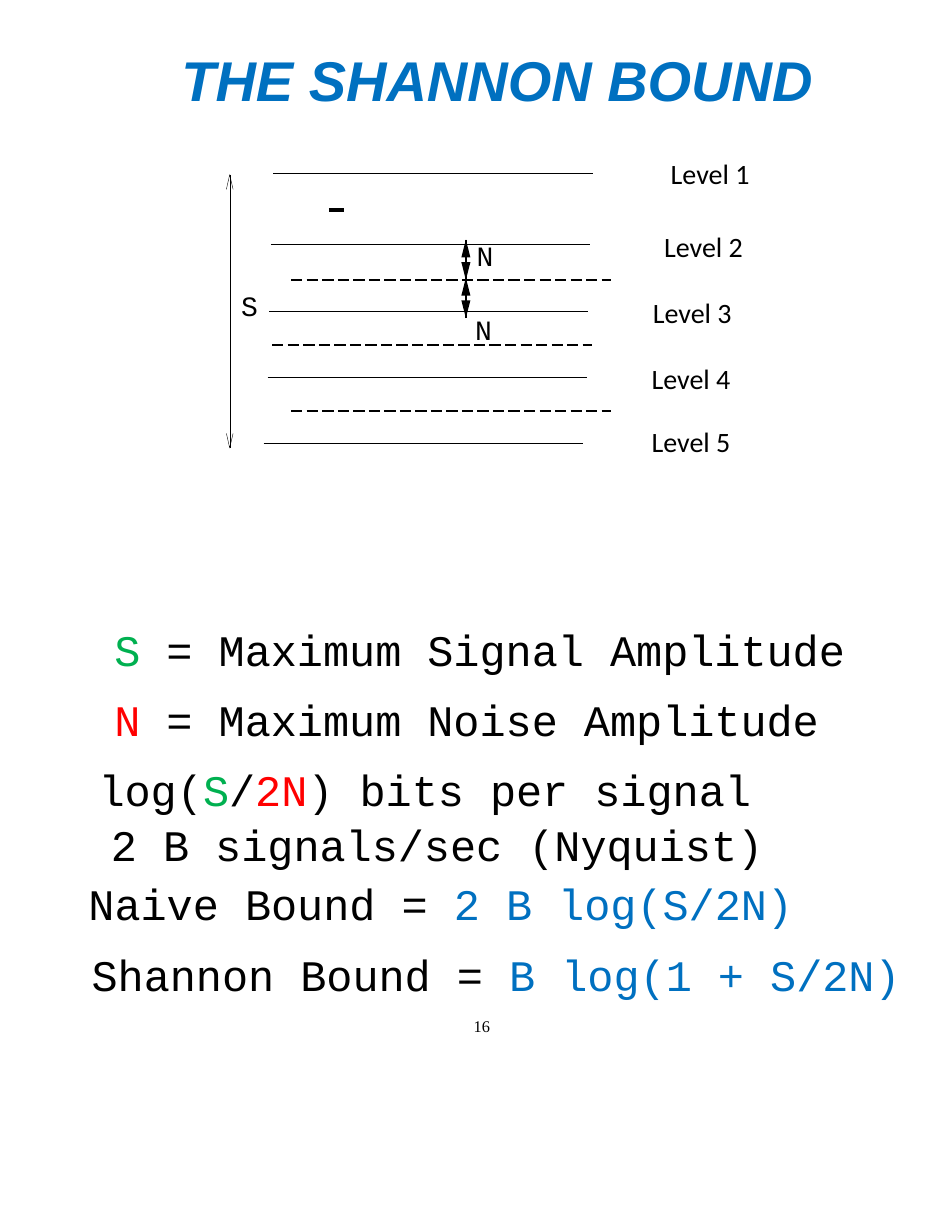
"""Build the Shannon bound slide with its signal level diagram."""
from dataclasses import dataclass

from lxml.etree import SubElement
from pptx import Presentation
from pptx.dml.color import RGBColor
from pptx.enum.dml import MSO_LINE
from pptx.enum.shapes import MSO_CONNECTOR
from pptx.enum.text import MSO_ANCHOR, MSO_AUTO_SIZE, PP_ALIGN
from pptx.oxml.ns import qn
from pptx.util import Pt


@dataclass(frozen=True)
class Theme:
    """Colours, fonts and type sizes of the slide."""
    black: str = "000000"
    blue: str = "0070C0"
    green: str = "00B050"
    red: str = "FF0000"
    heading: str = "Arial"
    mono: str = "Courier New"
    label: str = "Calibri"
    number: str = "Times New Roman"
    title_size: float = 36
    formula_size: float = 28
    label_size: float = 18
    number_size: float = 10.5
    hairline: float = 0.25
    thin: float = 0.9
    thick: float = 2.5


THEME = Theme()
BLACK, BLUE, GREEN, RED = THEME.black, THEME.blue, THEME.green, THEME.red

TITLE = "THE SHANNON BOUND"
PAGE_NUMBER = "16"
LINE_LENGTH = 205.3
LEVELS = [
    ("Level 1", 175.7, 111.6, 424.1, 97.2),
    ("Level 2", 174.2, 157, 419.8, 144),
    ("Level 3", 173, 200.2, 412.6, 186.5),
    ("Level 4", 172.1, 242.6, 411.8, 229),
    ("Level 5", 169.4, 285.1, 411.8, 269.3),
]
THRESHOLDS = [(187.2, 180), (175, 221.8), (187.2, 264.2)]
AMPLITUDES = [("S", 155, 185.5), ("N", 306.4, 153), ("N", 305.4, 201)]
SIGNAL_SPAN = (147.7, 112.3, 288)
NOISE_SPANS = [(299.5, 154.1, 180), (299.5, 178.6, 204.5)]
OPEN_HEAD = (4.3, 9.4)
SOLID_HEAD = (5.8, 11.4)
FORMULAS = [
    (23.8, 0, [("S", GREEN), (" = Maximum Signal Amplitude", BLACK)]),
    (23.8, 13, [("N", RED), (" = Maximum Noise Amplitude", BLACK)]),
    (13.7, 13, [("log(", BLACK), ("S", GREEN), ("/", BLACK), ("2N", RED),
                (") bits per signal", BLACK)]),
    (21.6, 3.4, [("2 B signals/sec (Nyquist)", BLACK)]),
    (7.2, 5.9, [("Naive Bound = ", BLACK), ("2 B log(S/2N)", BLUE)]),
    (9.2, 13.4, [("Shannon Bound = ", BLACK), ("B log(1 + S/2N)", BLUE)]),
]


def add_span(para, text, font, size, color=BLACK, bold=False, italic=False):
    """Add one formatted run to a paragraph."""
    span = para.add_run()
    span.text = text
    span.font.name, span.font.size = font, Pt(size)
    span.font.bold, span.font.italic = bold, italic
    span.font.color.rgb = RGBColor.from_string(color)


def set_frame(box, across=0, down=0, wrap=True):
    """Give a text shape fixed margins and top anchoring."""
    frame = box.text_frame
    frame.word_wrap, frame.auto_size = wrap, MSO_AUTO_SIZE.NONE
    frame.vertical_anchor = MSO_ANCHOR.TOP
    frame.margin_left = frame.margin_right = Pt(across)
    frame.margin_top = frame.margin_bottom = Pt(down)
    return frame


def add_text(page, text, left, top, width, height, font, size,
             across=0, down=0):
    """Add a one-line text box."""
    box = page.shapes.add_textbox(Pt(left), Pt(top), Pt(width), Pt(height))
    frame = set_frame(box, across, down)
    add_span(frame.paragraphs[0], text, font, size)


def add_line(page, x1, y1, x2, y2, width, dash=None):
    """Draw a straight black line."""
    line = page.shapes.add_connector(
        MSO_CONNECTOR.STRAIGHT, Pt(x1), Pt(y1), Pt(x2), Pt(y2))
    line.line.color.rgb = RGBColor.from_string(BLACK)
    line.line.width = Pt(width)
    if dash:
        line.line.dash_style = dash
    SubElement(line._element.spPr, qn("a:effectLst"))


def add_head(page, x, tip, base, half, solid):
    """Draw an arrowhead, either a filled triangle or an open angle."""
    builder = page.shapes.build_freeform(Pt(x - half), Pt(base))
    builder.add_line_segments(
        [(Pt(x), Pt(tip)), (Pt(x + half), Pt(base))], close=solid)
    head = builder.convert_to_shape()
    head.shadow.inherit = False
    if solid:
        head.fill.solid()
        head.fill.fore_color.rgb = RGBColor.from_string(BLACK)
        head.line.fill.background()
    else:
        head.fill.background()
        head.line.color.rgb = RGBColor.from_string(BLACK)
        head.line.width = Pt(THEME.hairline)


def add_double_arrow(page, span, head, width, solid):
    """Draw a vertical line with an arrowhead at each end."""
    x, top, bottom = span
    head_width, length = head
    add_line(page, x, top, x, bottom, width)
    add_head(page, x, top, top + length, head_width / 2, solid)
    add_head(page, x, bottom, bottom - length, head_width / 2, solid)


def add_title(page):
    """Place and format the title placeholder."""
    title = page.shapes.title
    title.left, title.top, title.width, title.height = map(
        Pt, (86.7, 29, 465.8, 44))
    para = set_frame(title).paragraphs[0]
    para.alignment = PP_ALIGN.CENTER
    add_span(para, TITLE, THEME.heading, THEME.title_size, BLUE, True, True)


def add_diagram(page):
    """Draw the signal levels, thresholds, arrows and labels."""
    for name, x, y, left, top in LEVELS:
        add_line(page, x, y, x + LINE_LENGTH, y, THEME.hairline)
        add_text(page, name, left, top, 82.8, 29, THEME.label,
                 THEME.label_size, 7.2, 3.6)
    for x, y in THRESHOLDS:
        add_line(page, x, y, x + LINE_LENGTH, y, THEME.thin,
                 MSO_LINE.LONG_DASH)
    add_line(page, 211.5, 135, 221.3, 135, THEME.thick)
    add_double_arrow(page, SIGNAL_SPAN, OPEN_HEAD, THEME.hairline, False)
    for span in NOISE_SPANS:
        add_double_arrow(page, span, SOLID_HEAD, THEME.thin, True)
    for name, left, top in AMPLITUDES:
        add_text(page, name, left, top, 14, 21, THEME.mono, THEME.label_size)


def add_formulas(page):
    """Write the definitions and bounds in one text box."""
    box = page.shapes.add_textbox(Pt(49.7), Pt(402), Pt(555), Pt(241))
    frame = set_frame(box)
    for index, (indent, before, spans) in enumerate(FORMULAS):
        para = frame.add_paragraph() if index else frame.paragraphs[0]
        para._p.get_or_add_pPr().set("marL", str(Pt(indent)))
        para.line_spacing = Pt(32)
        if before:
            para.space_before = Pt(before)
        for text, color in spans:
            add_span(para, text, THEME.mono, THEME.formula_size, color)


def main():
    """Assemble and save the deck."""
    deck = Presentation()
    deck.slide_width, deck.slide_height = Pt(612), Pt(792)
    page = deck.slides.add_slide(deck.slide_layouts[5])
    add_title(page)
    add_diagram(page)
    add_formulas(page)
    add_text(page, PAGE_NUMBER, 304.5, 653.5, 15, 13, THEME.number,
             THEME.number_size)
    deck.save("out.pptx")


if __name__ == "__main__":
    main()
